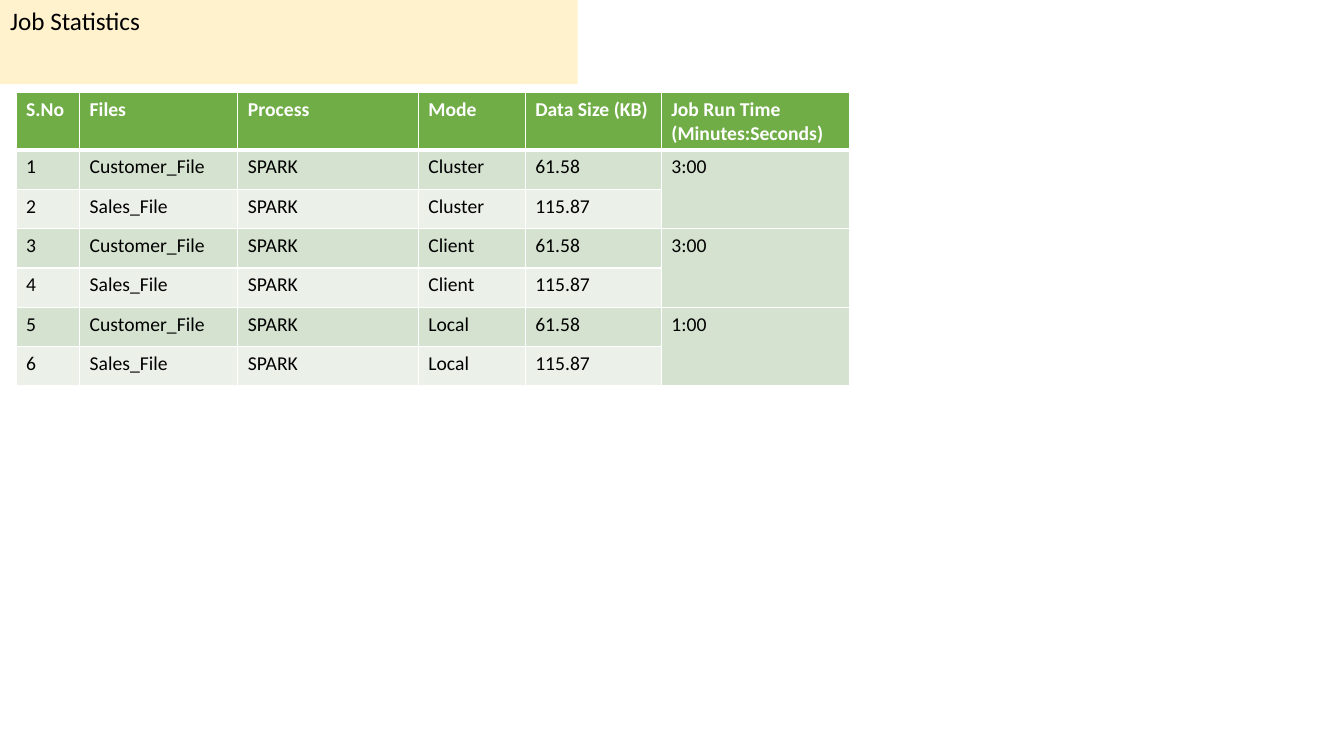
from dataclasses import dataclass

import lxml.etree
import pptx
import pptx.dml.color
import pptx.enum.text
import pptx.oxml.ns
import pptx.util

PX = 9144  # EMU per px, 100 px to the inch
FONT = "Calibri"
BLACK, WHITE = "000000", "FFFFFF"
HEADER_GREEN, BAND_DARK, BAND_LIGHT = "70AD47", "D4E2CF", "EBF1E8"
TITLE_CREAM = "FFF2CC"
THIN, THICK = 0.96, 3
HEADER_HEIGHT, ROW_HEIGHT = 57, 39


@dataclass
class Column:
    heading: str
    width: int


@dataclass
class JobRun:
    mode: str
    run_time: str


@dataclass
class InputFile:
    name: str
    size_kb: str


COLUMNS = [
    Column("S.No", 63),
    Column("Files", 157),
    Column("Process", 179),
    Column("Mode", 106),
    Column("Data Size (KB)", 135),
    Column("Job Run Time (Minutes:Seconds)", 187),
]
JOB_RUNS = [JobRun("Cluster", "3:00"), JobRun("Client", "3:00"), JobRun("Local", "1:00")]
INPUT_FILES = [InputFile("Customer_File", "61.58"), InputFile("Sales_File", "115.87")]


def px(length: int) -> pptx.util.Emu:
    return pptx.util.Emu(length * PX)


def color(value: str) -> pptx.dml.color.RGBColor:
    return pptx.dml.color.RGBColor.from_string(value)


def format_text(frame, size: int, text_color: str, bold: bool = False) -> None:
    for paragraph in frame.paragraphs:
        for run in paragraph.runs:
            run.font.name = FONT
            run.font.size = pptx.util.Pt(size)
            run.font.bold = bold
            run.font.color.rgb = color(text_color)


def set_borders(cell, top: float, bottom: float) -> None:
    """Add the white cell borders ahead of the fill, in schema order."""
    properties = cell._tc.get_or_add_tcPr()
    qn = pptx.oxml.ns.qn
    sides = {"lnL": THIN, "lnR": THIN, "lnT": top, "lnB": bottom}
    for position, (side, width) in enumerate(sides.items()):
        line = lxml.etree.Element(qn(f"a:{side}"), w=str(pptx.util.Pt(width)))
        fill = lxml.etree.SubElement(line, qn("a:solidFill"))
        lxml.etree.SubElement(fill, qn("a:srgbClr"), val=WHITE)
        properties.insert(position, line)


def add_title(slide, text: str) -> None:
    title = slide.shapes.title
    title.left, title.top, title.width, title.height = px(0), px(0), px(573), px(40)
    title.fill.solid()
    title.fill.fore_color.rgb = color(TITLE_CREAM)
    frame = title.text_frame
    frame.text = text
    frame.word_wrap = True
    frame.auto_size = pptx.enum.text.MSO_AUTO_SIZE.SHAPE_TO_FIT_TEXT
    frame.vertical_anchor = pptx.enum.text.MSO_ANCHOR.TOP
    frame.paragraphs[0].alignment = pptx.enum.text.PP_ALIGN.LEFT
    frame.paragraphs[0].line_spacing = 1.0
    format_text(frame, 18, BLACK)


def job_rows() -> list[list[str]]:
    """One row per run and file; the run time stands only on a run's first row."""
    rows = []
    for job in JOB_RUNS:
        for index, file in enumerate(INPUT_FILES):
            run_time = job.run_time if index == 0 else ""
            rows.append([str(len(rows) + 1), file.name, "SPARK", job.mode,
                         file.size_kb, run_time])
    return rows


def add_statistics(slide) -> None:
    rows = [[column.heading for column in COLUMNS]] + job_rows()
    width = sum(column.width for column in COLUMNS)
    height = HEADER_HEIGHT + ROW_HEIGHT * (len(rows) - 1)
    statistics = slide.shapes.add_table(
        len(rows), len(COLUMNS), px(16), px(92), px(width), px(height)).table

    # Column widths and row heights
    for table_column, column in zip(statistics.columns, COLUMNS):
        table_column.width = px(column.width)
    for r, table_row in enumerate(statistics.rows):
        table_row.height = px(ROW_HEIGHT if r else HEADER_HEIGHT)

    # Cells
    last = len(COLUMNS) - 1
    for r, row in enumerate(rows):
        for c, text in enumerate(row):
            cell = statistics.cell(r, c)
            cell.text_frame.text = text
            format_text(cell.text_frame, 14, BLACK if r else WHITE, bold=r == 0)
            band = BAND_DARK if r % 2 or c == last else BAND_LIGHT
            cell.fill.solid()
            cell.fill.fore_color.rgb = color(band if r else HEADER_GREEN)
            set_borders(cell, THICK if r == 1 else THIN, THIN if r else THICK)

    # One run time for all files of a run
    files = len(INPUT_FILES)
    for first in range(1, len(rows), files):
        statistics.cell(first, last).merge(statistics.cell(first + files - 1, last))


def main() -> None:
    presentation = pptx.Presentation()
    presentation.slide_width, presentation.slide_height = px(1333), px(750)
    slide = presentation.slides.add_slide(presentation.slide_layouts[5])
    add_title(slide, "Job Statistics")
    add_statistics(slide)
    presentation.save("out.pptx")


if __name__ == "__main__":
    main()
